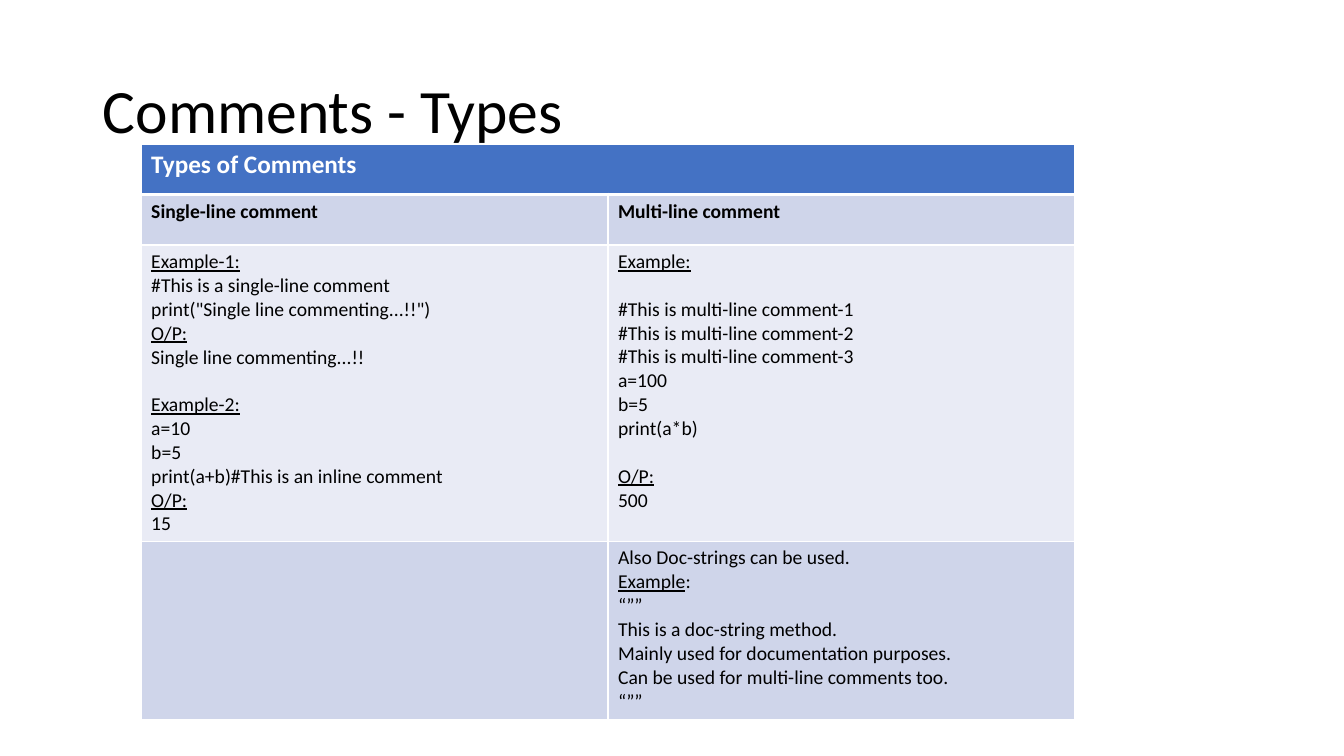
"""Build a slide with a table that compares the types of comments."""
from lxml import etree
from pptx import Presentation
from pptx.dml.color import RGBColor
from pptx.enum.text import MSO_ANCHOR, MSO_AUTO_SIZE, PP_ALIGN
from pptx.oxml.ns import qn
from pptx.util import Inches, Pt

LEFT = PP_ALIGN.LEFT
MIDDLE = MSO_ANCHOR.MIDDLE
NO_FIT = MSO_AUTO_SIZE.NONE

FONT = "Calibri"
BLACK = RGBColor(0x00, 0x00, 0x00)
WHITE = RGBColor(0xFF, 0xFF, 0xFF)
BLUE = RGBColor(0x44, 0x72, 0xC4)
BAND_DARK = RGBColor(0xCF, 0xD5, 0xEA)
BAND_LIGHT = RGBColor(0xE9, 0xEB, 0xF5)

BLOCK_GAP = 17
COL_WIDTH = 4.63
ROW_HEIGHTS = [0.5, 0.5, 2.83, 1.77]
ROW_FILLS = [BLUE, BAND_DARK, BAND_LIGHT, BAND_DARK]

SINGLE_LINE = [
    ["_Example-1:_", "#This is a single-line comment",
     'print("Single line commenting...!!")', "_O/P:_",
     "Single line commenting...!!"],
    ["_Example-2:_", "a=10", "b=5", "print(a+b)#This is an inline comment",
     "_O/P:_", "15"],
]
MULTI_LINE = [
    ["_Example:_"],
    ["#This is multi-line comment-1", "#This is multi-line comment-2",
     "#This is multi-line comment-3", "a=100", "b=5", "print(a*b)"],
    ["_O/P:_", "500"],
]
DOC_STRING = [
    ["Also Doc-strings can be used.", "_Example_:", "“””",
     "This is a doc-string method.", "Mainly used for documentation purposes.",
     "Can be used for multi-line comments too.", "“””"],
]
ROWS = [
    [[["Types of Comments"]], []],
    [[["Single-line comment"]], [["Multi-line comment"]]],
    [SINGLE_LINE, MULTI_LINE],
    [[], DOC_STRING],
]


def write_line(p, text, size=14, color=BLACK, bold=False, gap=0, spacing=None):
    """Fill a paragraph, underlining the parts between underscores."""
    p.alignment = LEFT
    p.space_before = Pt(gap)
    p.line_spacing = spacing
    for i, part in enumerate(text.split("_")):
        if part:
            r = p.add_run()
            r.text = part
            r.font.name = FONT
            r.font.size = Pt(size)
            r.font.bold = bold
            r.font.underline = i % 2 == 1
            r.font.color.rgb = color


def write_blocks(tf, blocks, **style):
    """Write blocks of lines, with a gap between the blocks."""
    p = tf.paragraphs[0]
    for b, block in enumerate(blocks):
        for i, line in enumerate(block):
            if b or i:
                p = tf.add_paragraph()
            write_line(p, line, gap=BLOCK_GAP if b and not i else 0, **style)


def set_borders(cell, top=1, bottom=1):
    """Draw white borders around a cell, with widths in points."""
    tcPr = cell._tc.get_or_add_tcPr()
    widths = {"a:lnL": 1, "a:lnR": 1, "a:lnT": top, "a:lnB": bottom}
    for i, (tag, width) in enumerate(widths.items()):
        ln = etree.Element(qn(tag), w=str(Pt(width)))
        fill = etree.SubElement(ln, qn("a:solidFill"))
        etree.SubElement(fill, qn("a:srgbClr"), val=str(WHITE))
        tcPr.insert(i, ln)


def add_title(s, text):
    """Place and fill the title placeholder."""
    title = s.shapes.title
    title.left, title.top = Inches(0.92), Inches(0.4)
    title.width, title.height = Inches(11.5), Inches(1.45)
    tf = title.text_frame
    tf.auto_size = NO_FIT
    tf.vertical_anchor = MIDDLE
    write_line(tf.paragraphs[0], text, size=44, spacing=0.9)


def add_comments_table(s):
    """Add the table of comment types."""
    table = s.shapes.add_table(
        len(ROWS), 2, Inches(1.4), Inches(1.43),
        Inches(2 * COL_WIDTH), Inches(sum(ROW_HEIGHTS))).table
    for column in table.columns:
        column.width = Inches(COL_WIDTH)
    for r, row in enumerate(ROWS):
        table.rows[r].height = Inches(ROW_HEIGHTS[r])
        style = {"bold": r < 2}
        if r == 0:
            style.update(size=18, color=WHITE)
        for c, blocks in enumerate(row):
            cell = table.cell(r, c)
            cell.fill.solid()
            cell.fill.fore_color.rgb = ROW_FILLS[r]
            set_borders(cell, top=3 if r == 1 else 1, bottom=3 if r == 0 else 1)
            write_blocks(cell.text_frame, blocks, **style)
    table.cell(0, 0).merge(table.cell(0, 1))


def main():
    """Build and save the slide."""
    prs = Presentation()
    prs.slide_width, prs.slide_height = Inches(13.33), Inches(7.5)
    s = prs.slides.add_slide(prs.slide_layouts[5])
    add_title(s, "Comments - Types")
    add_comments_table(s)
    prs.save("out.pptx")


if __name__ == "__main__":
    main()
